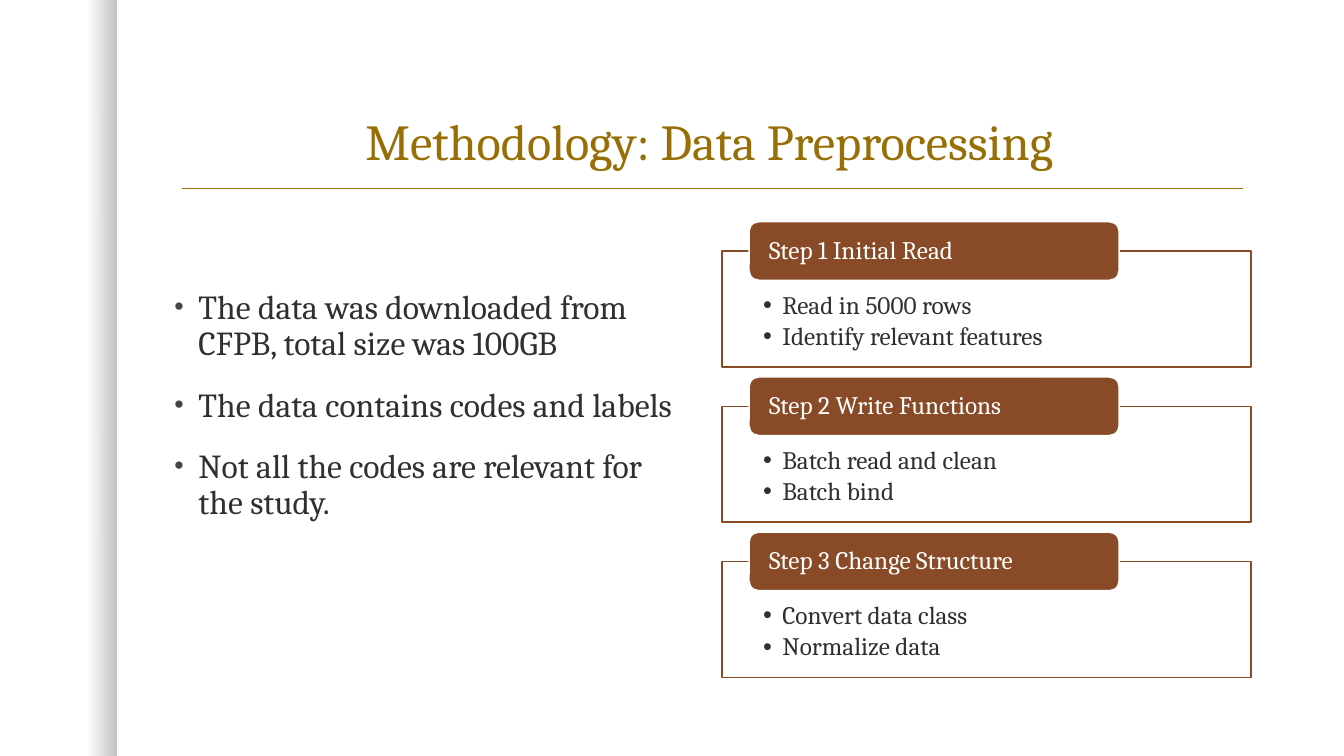
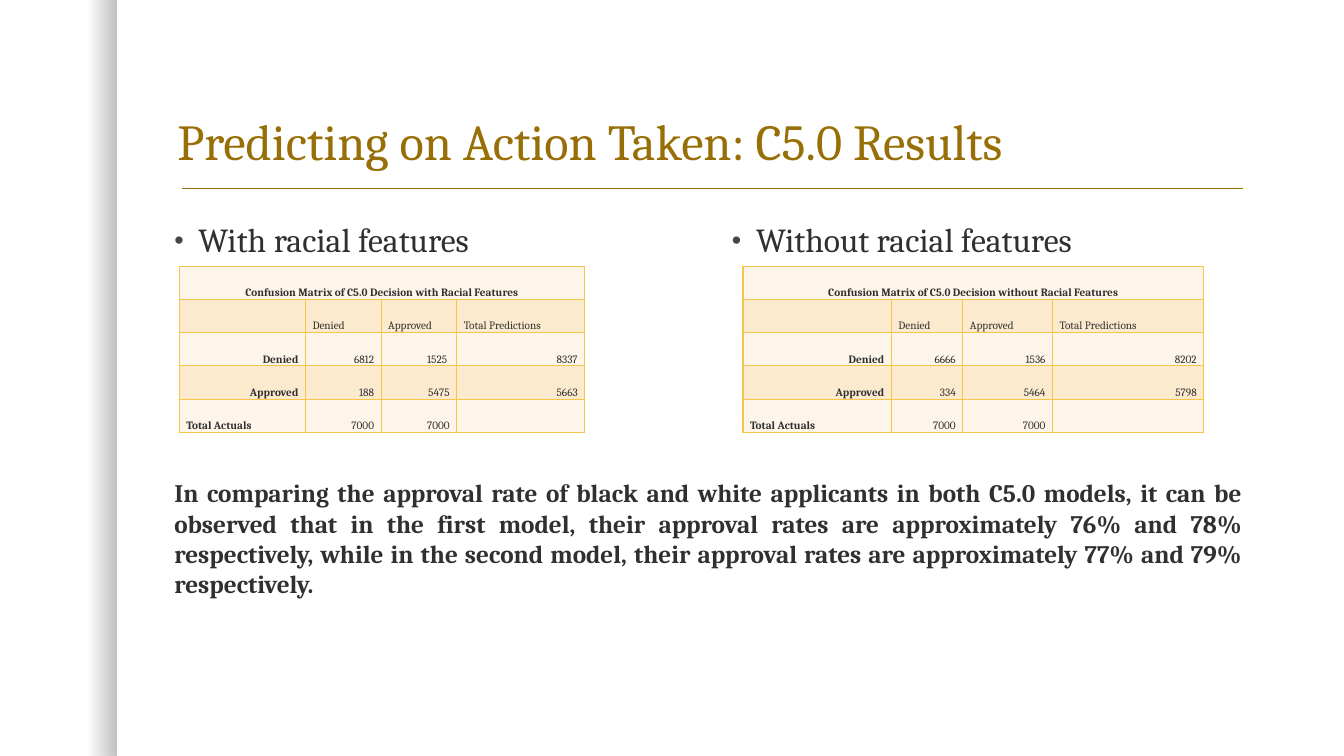
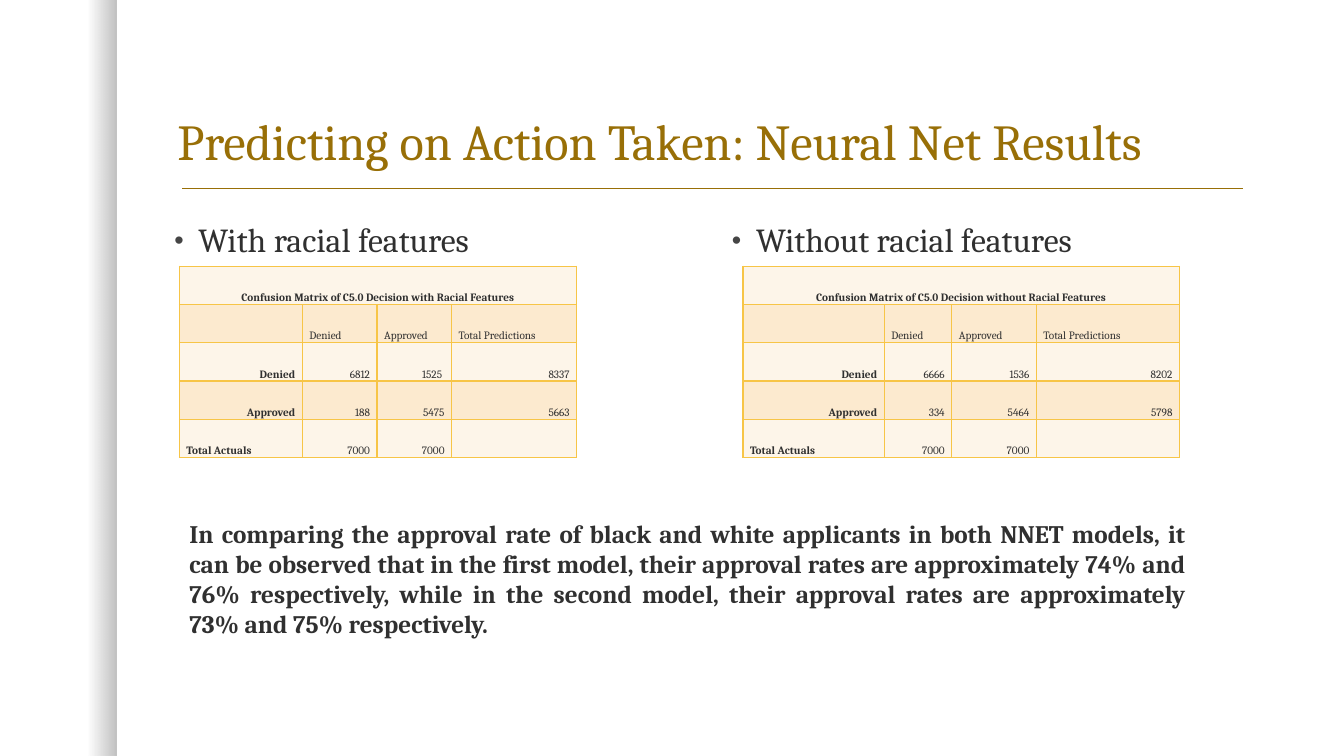
import pptx
import pptx.util
import pptx.dml.color
import pptx.enum.shapes
import pptx.enum.text
import pptx.oxml.ns
import lxml.etree

Inches = pptx.util.Inches
Pt = pptx.util.Pt
qn = pptx.oxml.ns.qn
Align = pptx.enum.text.PP_ALIGN
Anchor = pptx.enum.text.MSO_ANCHOR
Kind = pptx.enum.shapes.MSO_SHAPE

FONT = "Cambria"
GOLD, INK, DOT, RUST = "986F07", "303030", "454545", "894A27"
WHITE, BLACK, EDGE = "FFFFFF", "000000", "F7C547"
BANDS = ("FDF5E9", "FCEACF")
LEFT, RIGHT, COL = 1.63, 7.16, 5.25

POINTS = [
    "The data was downloaded from CFPB, total size was 100GB",
    "The data contains codes and labels",
    "Not all the codes are relevant for the study.",
]
STEPS = [
    ("Step 1 Initial Read", ["Read in 5000 rows", "Identify relevant features"]),
    ("Step 2 Write Functions", ["Batch read and clean", "Batch bind"]),
    ("Step 3 Change Structure", ["Convert data class", "Normalize data"]),
]
HEADS = ["", "Denied", "Approved", "Total Predictions"]
TOTALS = ["Total Actuals", "7000", "7000", ""]
SIDES = [
    ("With racial features", LEFT, 1.78, [
        ["Confusion Matrix of C5.0 Decision with Racial Features", "", "", ""],
        HEADS,
        ["Denied", "6812", "1525 ", "8337"],
        ["Approved", "188", "5475", "5663"],
        TOTALS,
    ]),
    ("Without racial features", RIGHT, 7.37, [
        ["Confusion Matrix of C5.0 Decision without Racial Features", "", "", ""],
        HEADS,
        ["Denied", "6666", "1536", "8202"],
        ["Approved", "334", "5464", "5798"],
        TOTALS,
    ]),
]
RESULTS = [
    {
        "title": "Predicting on Action Taken: C5.0 Results",
        "widths": [(1.25, 0.75, 0.75, 1.27), (1.47, 0.71, 0.89, 1.5)],
        "row": 0.33,
        "note": (1.63, 4.69, 10.79, 1.62),
        "text": "In comparing the approval rate of black and white applicants in both C5.0 models, "
                "it can be observed that in the first model, their approval rates are approximately "
                "76% and 78% respectively, while in the second model, their approval rates are "
                "approximately 77% and 79% respectively.",
    },
    {
        "title": "Predicting on Action Taken: Neural Net Results",
        "widths": [(1.22, 0.74, 0.74, 1.24), (1.4, 0.67, 0.84, 1.42)],
        "row": 0.38,
        "note": (1.78, 5.09, 10.08, 1.62),
        "text": "In comparing the approval rate of black and white applicants in both NNET models, "
                "it can be observed that in the first model, their approval rates are approximately "
                "74% and 76% respectively, while in the second model, their approval rates are "
                "approximately 73% and 75% respectively.",
    },
]


def color(code):
    return pptx.dml.color.RGBColor.from_string(code)


def place(*box):
    return [Inches(n) for n in box]


def style(para, size, code, bold=False, align=Align.LEFT, lead=0.9):
    para.alignment = align
    para.line_spacing = lead
    for run in para.runs:
        run.font.name = FONT
        run.font.size = Pt(size)
        run.font.bold = bold
        run.font.color.rgb = color(code)


def bullet(para, hang, code, scale):
    props = para._p.get_or_add_pPr()
    props.set("marL", str(Inches(hang)))
    props.set("indent", str(-Inches(hang)))
    tint = lxml.etree.SubElement(props, qn("a:buClr"))
    lxml.etree.SubElement(tint, qn("a:srgbClr"), val=code)
    lxml.etree.SubElement(props, qn("a:buSzPct"), val=str(scale * 1000))
    lxml.etree.SubElement(props, qn("a:buFont"), typeface="Arial")
    lxml.etree.SubElement(props, qn("a:buChar"), char="•")


def fill_list(frame, items, size, hang, code, scale, gap):
    frame.text = "\n".join(items)
    for i, para in enumerate(frame.paragraphs):
        bullet(para, hang, code, scale)
        if i:
            para.space_before = Pt(gap)
        style(para, size, INK)


def inset(frame, left, top, right, bottom):
    frame.margin_left, frame.margin_top = Inches(left), Inches(top)
    frame.margin_right, frame.margin_bottom = Inches(right), Inches(bottom)


def add_box(slide, box):
    frame = slide.shapes.add_textbox(*place(*box)).text_frame
    frame.word_wrap = True
    return frame


def add_list(slide, box, items):
    fill_list(add_box(slide, box), items, 24, 0.24, DOT, 80, 18)


def add_panel(slide, kind, box, fill, line):
    panel = slide.shapes.add_shape(kind, *place(*box))
    panel.shadow.inherit = False
    panel.fill.solid()
    panel.fill.fore_color.rgb = color(fill)
    panel.line.color.rgb = color(line)
    panel.line.width = Pt(1)
    panel.text_frame.word_wrap = True
    return panel.text_frame


def add_band(slide):
    band = slide.shapes.add_shape(Kind.RECTANGLE, *place(0, 0, 1.16, 7.5))
    band.shadow.inherit = False
    band.line.fill.background()
    band.fill.gradient()
    band.fill.gradient_angle = 0
    for stop, spot in zip(band.fill.gradient_stops, (0.75, 1)):
        stop.position = spot
        stop.color.rgb = color(BLACK)
    tints = band._element.spPr.iter(qn("a:srgbClr"))
    for tint, alpha in zip(tints, (0, 25)):
        lxml.etree.SubElement(tint, qn("a:alpha"), val=str(alpha * 1000))


def add_rule(slide):
    ends = place(1.81, 1.87, 12.33, 1.87)
    rule = slide.shapes.add_connector(pptx.enum.shapes.MSO_CONNECTOR.STRAIGHT, *ends)
    rule.line.color.rgb = color(GOLD)
    rule.line.width = Pt(1)
    lxml.etree.SubElement(rule._element.spPr, qn("a:effectLst"))


def add_slide(deck, text, align=Align.LEFT):
    slide = deck.slides.add_slide(deck.slide_layouts[5])
    add_band(slide)
    add_rule(slide)
    title = slide.shapes.title
    title.left, title.top, title.width, title.height = place(1.66, 0.42, 10.75, 1.33)
    frame = title.text_frame
    frame.text = text
    frame.word_wrap = True
    frame.auto_size = pptx.enum.text.MSO_AUTO_SIZE.NONE
    frame.vertical_anchor = Anchor.BOTTOM
    style(frame.paragraphs[0], 36, GOLD, align=align)
    return slide


def add_step(slide, top, head, items):
    card = add_panel(slide, Kind.RECTANGLE, (RIGHT, top, COL, 1.15), WHITE, RUST)
    card.vertical_anchor = Anchor.TOP
    inset(card, 0.41, 0.41, 0.41, 0.14)
    fill_list(card, items, 18, 0.19, INK, 100, 3)
    box = (RIGHT + 0.27, top - 0.29, 3.67, 0.58)
    tab = add_panel(slide, Kind.ROUNDED_RECTANGLE, box, RUST, WHITE)
    tab.vertical_anchor = Anchor.MIDDLE
    inset(tab, 0.17, 0, 0.17, 0)
    tab.text = head
    style(tab.paragraphs[0], 18, WHITE)


def edge(cell):
    props = cell._tc.get_or_add_tcPr()
    for i, side in enumerate(("lnL", "lnR", "lnT", "lnB")):
        line = lxml.etree.Element(qn("a:" + side), w=str(Pt(1)))
        fill = lxml.etree.SubElement(line, qn("a:solidFill"))
        lxml.etree.SubElement(fill, qn("a:srgbClr"), val=EDGE)
        props.insert(i, line)


def cell_align(r, c, last):
    if r == 0:
        return Align.CENTER
    if r == 1 or (r == last and c == 0):
        return Align.LEFT
    return Align.RIGHT


def add_grid(slide, left, widths, high, rows):
    box = place(left, 2.64, sum(widths), high * len(rows))
    grid = slide.shapes.add_table(len(rows), len(widths), *box).table
    grid.first_row = grid.horz_banding = False
    for col, wide in zip(grid.columns, widths):
        col.width = Inches(wide)
    for r, row in enumerate(rows):
        grid.rows[r].height = Inches(high)
        for c, text in enumerate(row):
            cell = grid.cell(r, c)
            cell.fill.solid()
            cell.fill.fore_color.rgb = color(BANDS[r % 2])
            edge(cell)
            inset(cell, 0.07, 0, 0.07, 0)
            cell.vertical_anchor = Anchor.BOTTOM
            para = cell.text_frame.paragraphs[0]
            if text:
                para.text = text
            else:
                para._p.get_or_add_endParaRPr().set("sz", "800")
            style(para, 8, INK, c == 0, cell_align(r, c, len(rows) - 1), 1.07)
    grid.cell(0, 0).merge(grid.cell(0, len(widths) - 1))


def add_steps(deck):
    slide = add_slide(deck, "Methodology: Data Preprocessing", Align.CENTER)
    add_list(slide, (LEFT, 2.83, COL, 3.92), POINTS)
    for i, (head, items) in enumerate(STEPS):
        add_step(slide, 2.49 + 1.54 * i, head, items)


def add_result(deck, data):
    slide = add_slide(deck, data["title"])
    for (head, left, edge_x, rows), widths in zip(SIDES, data["widths"]):
        add_list(slide, (left, 2.17, COL, 0.45), [head])
        add_grid(slide, edge_x, widths, data["row"], rows)
    note = add_box(slide, data["note"])
    note.text = data["text"]
    style(note.paragraphs[0], 18, INK, True, Align.JUSTIFY, 1.0)


def main():
    deck = pptx.Presentation()
    deck.slide_width, deck.slide_height = place(13.33, 7.5)
    add_steps(deck)
    for data in RESULTS:
        add_result(deck, data)
    deck.save("out.pptx")


if __name__ == "__main__":
    main()
